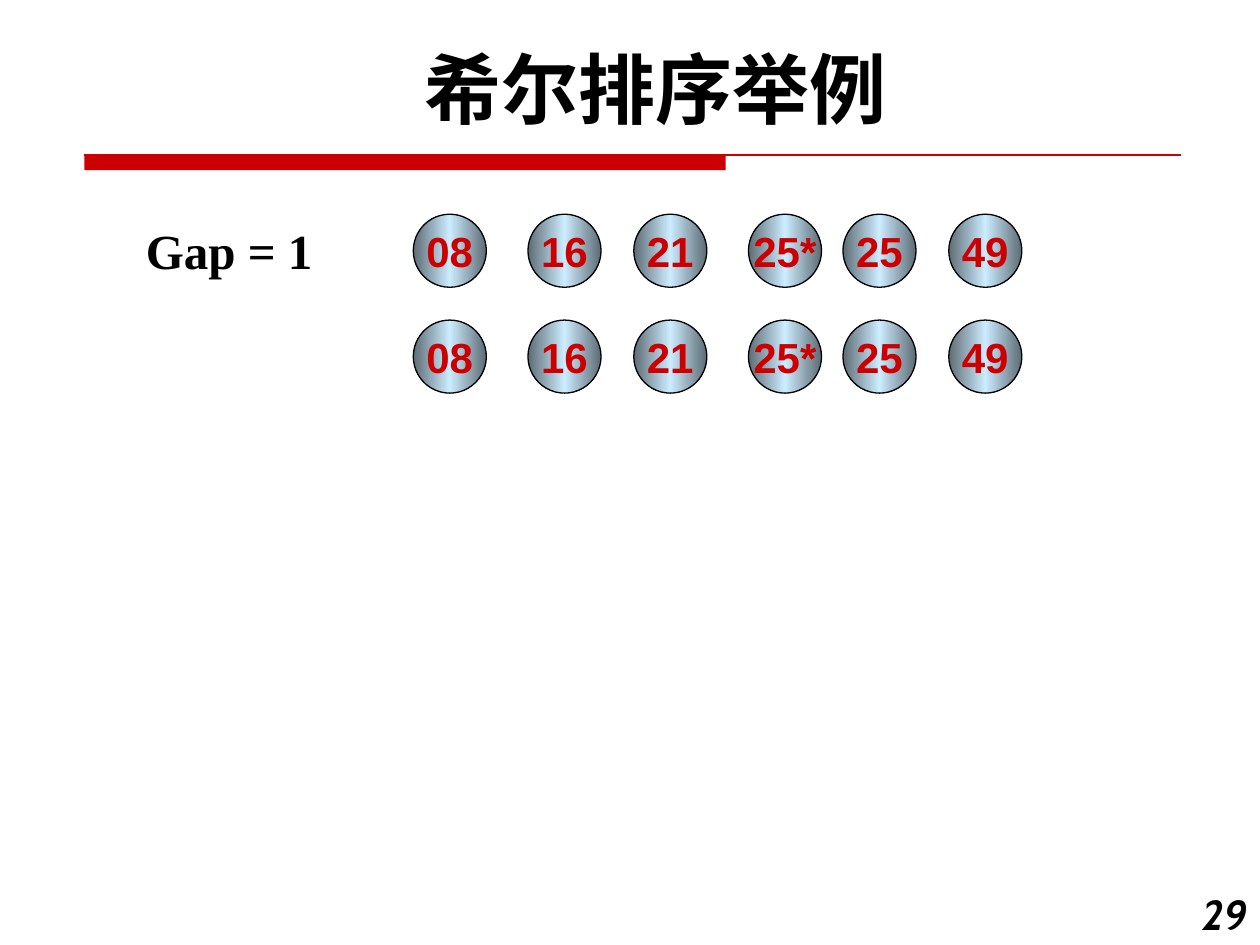
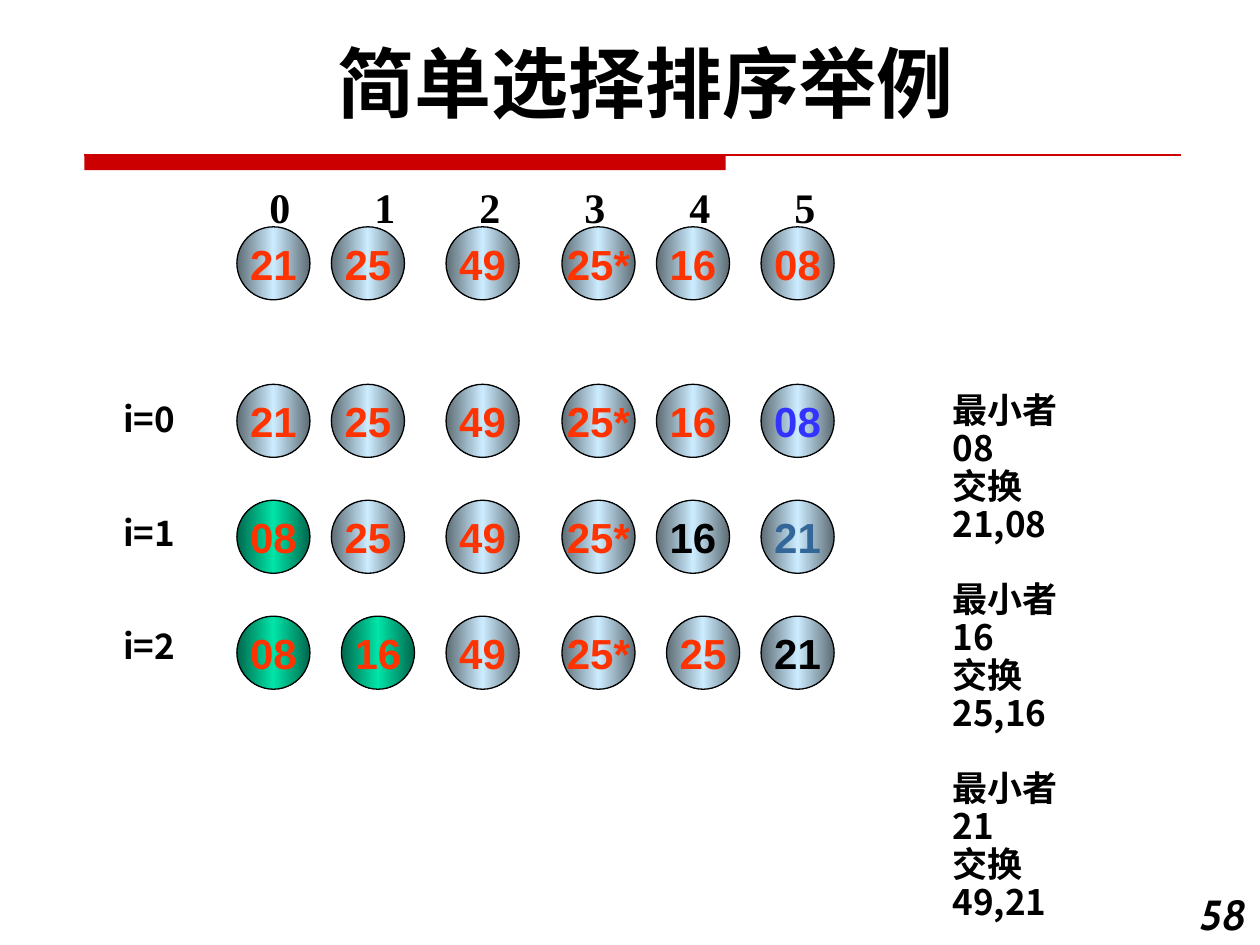
"""Build two slides that show sorting steps as rows of numbered balls."""
from copy import deepcopy
from lxml import etree
from pptx import Presentation
from pptx import util as u
from pptx.dml.color import RGBColor
from pptx.enum import shapes, text
from pptx.oxml.ns import qn

HUES = {
    "black": "000000", "band": "CC0000", "orange": "FF3300",
    "blue": "3333FF", "steel": "336699",
    "ice": "CCECFF", "slate": "5D6C74", "mint": "00E4A8", "pine": "00684C",
}
OPEN = ("slate", "ice", "slate")
DONE = ("pine", "mint", "pine")
SANS, SERIF, BALL, HAN = "Cabin", "Times New Roman", "Arial", "Noto Sans CJK SC"
SIZE = 0.58
LINE = 21.6
STEP = 5 / 6

SHELL = {
    "title": "希尔排序举例", "spot": (0.58, 0.28), "page": "29", "ink": "band",
    "cols": (3.28, 4.19, 5.03, 5.94, 6.69, 7.53),
    "rows": [
        {"top": top, "keys": "08 16 21 25* 25 49"} for top in (1.7, 2.54)
    ],
}
PICK = {
    "title": "简单选择排序举例", "spot": (0.5, 0.23), "page": "58", "ink": "orange",
    "cols": (1.88, 2.63, 3.54, 4.46, 5.21, 6.04),
    "rows": [
        {"top": 1.8, "keys": "21 25 49 25* 16 08"},
        {"top": 3.05, "keys": "21 25 49 25* 16 08", "inks": {5: "blue"}},
        {"top": 3.97, "keys": "08 25 49 25* 16 21", "done": 1,
         "inks": {4: "black", 5: "steel"}},
        {"top": 4.89, "keys": "08 16 49 25* 25 21", "done": 2,
         "inks": {5: "black"}, "moved": (1, 4)},
    ],
}
NOTES = [("最小者 08", "交换21,08"), ("最小者 16", "交换25,16"), ("最小者 21", "交换49,21")]
PASSES = ["i=0", "i=1", "i=2"]


def tint(name):
    return RGBColor.from_string(HUES[name])


def place(*lengths):
    return [u.Inches(n) for n in lengths]


def style(para, face, size, ink="black", slant=None):
    font = para.font
    font.size, font.bold, font.italic = u.Pt(size), True, slant
    font.color.rgb = tint(ink)
    font.name = face
    etree.SubElement(font._element, qn("a:ea"), typeface=face)


def write(slide, box, lines, face, size, align=None, wrap=True, slant=None):
    frame = slide.shapes.add_textbox(*place(*box)).text_frame
    frame.word_wrap = wrap
    frame.text = "\n".join(lines)
    for para in frame.paragraphs:
        para.alignment = align
        style(para, face, size, slant=slant)
    return frame


def space(frame, group, gap):
    """Set even lines and leave a gap of whole lines before each group."""
    for i, para in enumerate(frame.paragraphs):
        para.line_spacing = u.Pt(LINE)
        if i and i % group == 0:
            para.space_before = u.Pt(gap * LINE)


def ball(slide, left, top, key, ink, fade):
    shape = slide.shapes.add_shape(
        shapes.MSO_SHAPE.OVAL, *place(left, top, SIZE, SIZE))
    shape.shadow.inherit = False
    shape.line.color.rgb = tint("black")
    shape.line.width = u.Pt(0.75)
    shape.fill.gradient()
    shape.fill.gradient_angle = 0
    stops = next(shape._element.iter(qn("a:gsLst")))
    stops.append(deepcopy(stops[0]))
    for i, (stop, hue) in enumerate(zip(shape.fill.gradient_stops, fade)):
        stop.position = i / 2
        stop.color.rgb = tint(hue)
    frame = shape.text_frame
    frame.word_wrap = False
    frame.vertical_anchor = text.MSO_ANCHOR.MIDDLE
    frame.text = key
    para = frame.paragraphs[0]
    para.alignment = text.PP_ALIGN.CENTER
    style(para, BALL, 24, ink)


def base(deck, data):
    """Add a slide with its band, title, page number and rows of balls."""
    slide = deck.slides.add_slide(deck.slide_layouts[6])
    band = slide.shapes.add_shape(
        shapes.MSO_SHAPE.RECTANGLE, *place(0.67, 1.23, 5.09, 0.12))
    band.shadow.inherit = False
    band.fill.solid()
    band.fill.fore_color.rgb = tint("band")
    band.line.fill.background()
    rule = slide.shapes.add_connector(
        shapes.MSO_CONNECTOR.STRAIGHT, *place(0.67, 1.23, 9.37, 1.23))
    rule.line.color.rgb = tint("band")
    rule.line.width = u.Pt(0.75)
    etree.SubElement(rule._element.spPr, qn("a:effectLst"))
    write(slide, (9.33, 7, 0.67, 0.5), [data["page"]], SANS, 24,
          text.PP_ALIGN.RIGHT, slant=True)
    write(slide, (*data["spot"], 9.25, 0.84), [data["title"]], SANS, 44,
          text.PP_ALIGN.CENTER)
    for row in data["rows"]:
        for i, (left, key) in enumerate(zip(data["cols"], row["keys"].split())):
            shift = 0.08 if i in row.get("moved", ()) else 0
            ink = row.get("inks", {}).get(i, data["ink"])
            fade = DONE if i < row.get("done", 0) else OPEN
            ball(slide, left + shift, row["top"], key, ink, fade)
    return slide


def shell(deck):
    slide = base(deck, SHELL)
    write(slide, (1.06, 1.7, 1.53, 0.57), ["Gap = 1"], SERIF, 28, wrap=False)


def pick(deck):
    slide = base(deck, PICK)
    count = len(PICK["cols"])
    heads = write(slide, (2.04, 1.39, 4.87, 0.5),
                  ["\t".join(map(str, range(count)))], SERIF, 24)
    props = heads.paragraphs[0]._p.get_or_add_pPr()
    tabs = etree.Element(qn("a:tabLst"))
    props.insert(0, tabs)
    for i in range(1, count):
        etree.SubElement(tabs, qn("a:tab"), pos=str(u.Inches(i * STEP)), algn="l")
    notes = write(slide, (7.46, 3.07, 1.48, 2.52),
                  [line for pair in NOTES for line in pair], HAN, 20)
    notes.margin_right = u.Inches(0.45)
    space(notes, 2, 1)
    space(write(slide, (0.88, 3.14, 0.95, 2.2), PASSES, HAN, 20), 1, 2)


def main():
    deck = Presentation()
    deck.slide_width, deck.slide_height = place(10, 7.5)
    shell(deck)
    pick(deck)
    deck.save("out.pptx")


if __name__ == "__main__":
    main()
